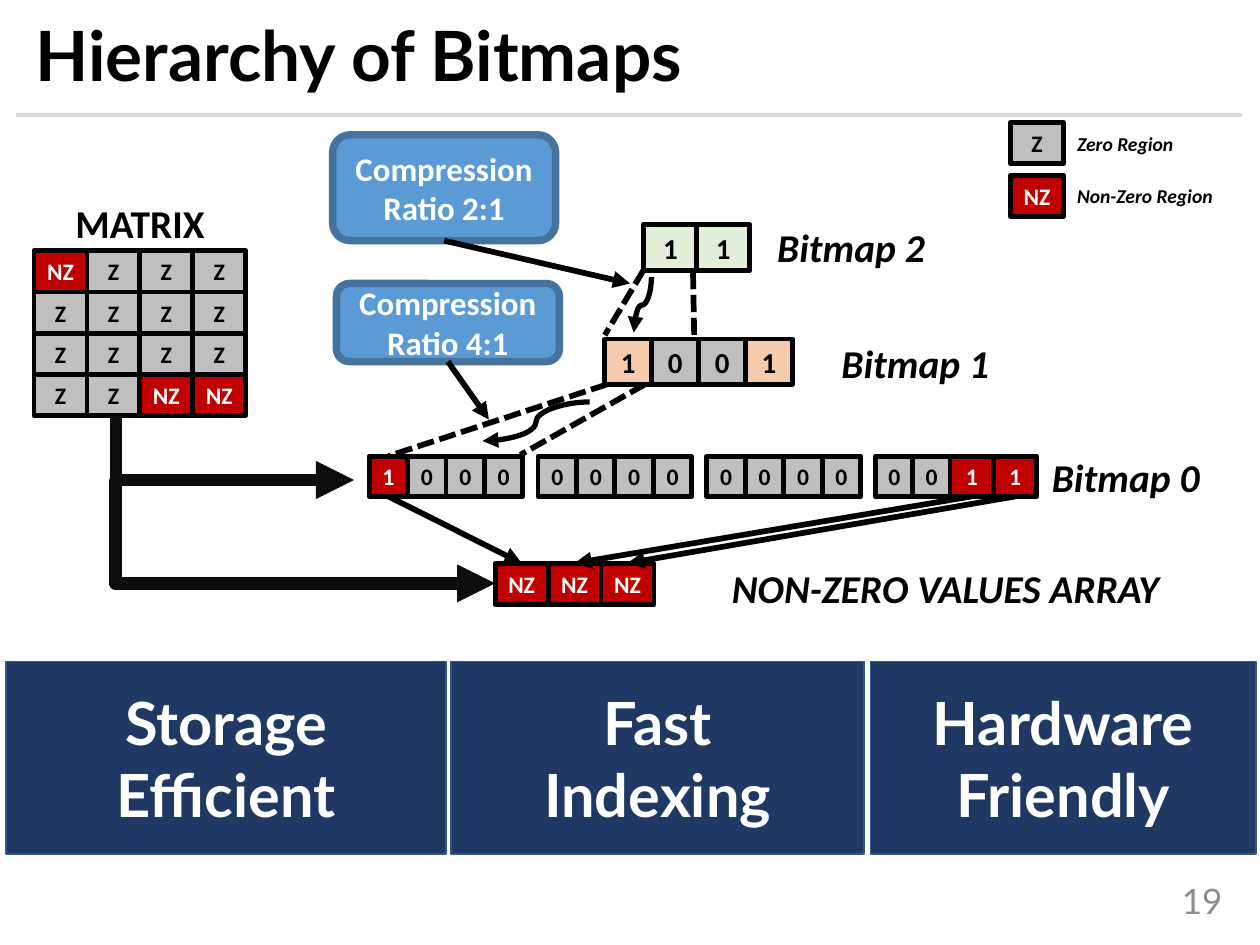
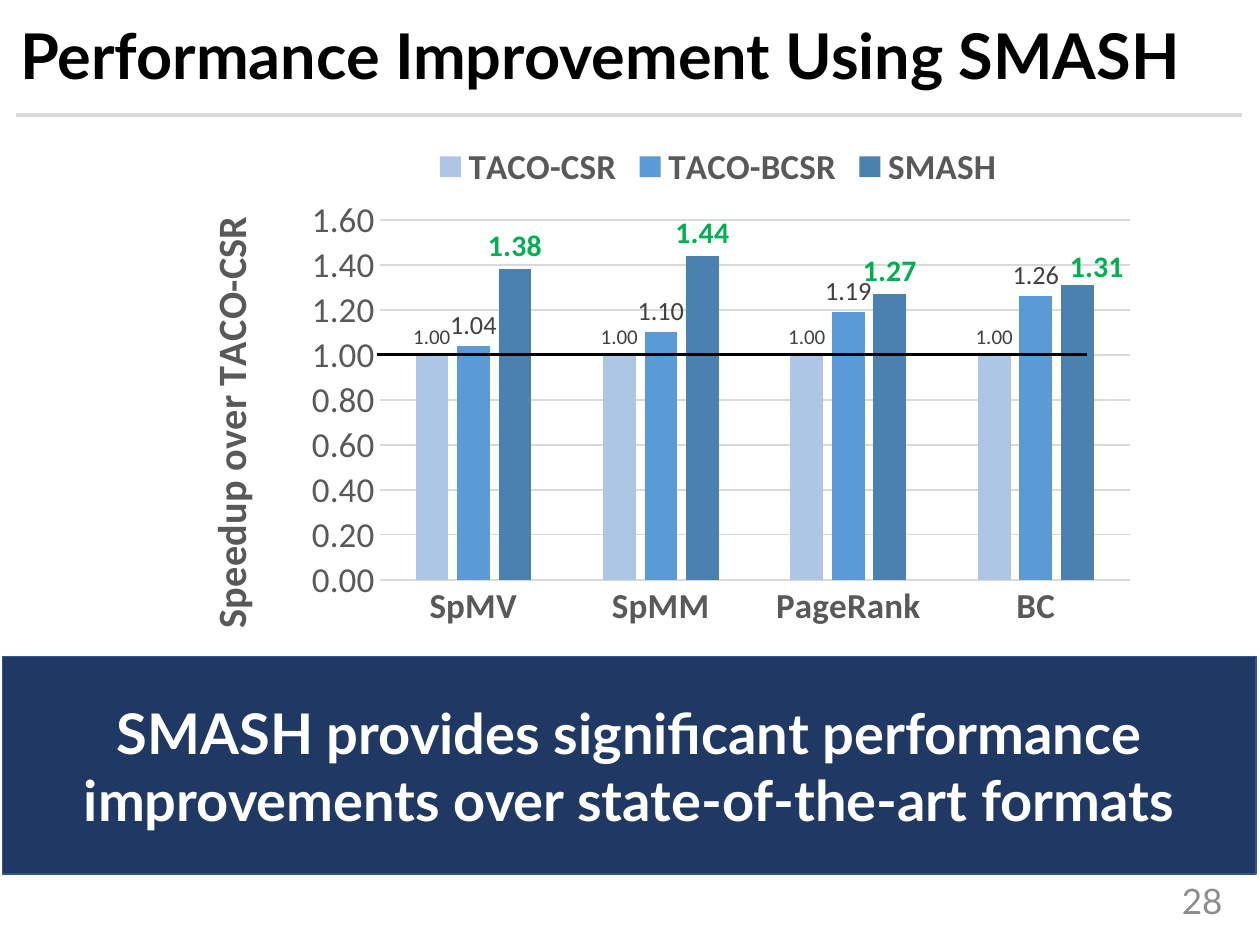
from dataclasses import dataclass
from typing import NamedTuple

from lxml.etree import SubElement
from pptx import Presentation
from pptx.chart.data import CategoryChartData
from pptx.dml.color import RGBColor
from pptx.enum.chart import XL_CHART_TYPE, XL_LABEL_POSITION, XL_LEGEND_POSITION, XL_TICK_MARK
from pptx.enum.dml import MSO_LINE
from pptx.enum.shapes import MSO_CONNECTOR, MSO_SHAPE
from pptx.enum.text import MSO_ANCHOR, MSO_AUTO_SIZE, PP_ALIGN
from pptx.oxml import parse_xml
from pptx.oxml.ns import nsdecls, qn
from pptx.util import Inches, Pt


@dataclass(frozen=True)
class Theme:
    """Colours, fonts and type sizes of the deck."""
    black: str = "000000"
    white: str = "FFFFFF"
    coal: str = "0D0D0D"
    red: str = "C00000"
    zero: str = "BFBFBF"
    peach: str = "F8CBAD"
    mint: str = "E2F0D9"
    blue: str = "5B9BD5"
    pale: str = "ADC6E5"
    steel: str = "4B81B1"
    edge: str = "43739E"
    navy: str = "203864"
    rim: str = "325491"
    rule: str = "D9D9D9"
    page: str = "8C8C8C"
    axis: str = "595959"
    value: str = "404040"
    green: str = "00B050"
    head: str = "Lato"
    body: str = "Calibri"
    label: float = 22.5
    cell: float = 13.5
    bit: float = 16.5
    note: float = 18.8
    key: float = 11.2
    number: float = 20
    tick: float = 20
    stroke: float = 3.25


T = Theme()


class Box(NamedTuple):
    """A region in inches."""
    x: float
    y: float
    w: float
    h: float

    def sub(self, dx, dy, w, h):
        """Return a region placed relative to this one."""
        return Box(self.x + dx, self.y + dy, w, h)

    def emu(self):
        """Return the four lengths of the region."""
        return [Inches(v) for v in self]


def style(font, size, color=T.black, bold=True, italic=False, face=T.body):
    """Set the look of a font."""
    font.name, font.size, font.bold, font.italic = face, Pt(size), bold, italic
    font.color.rgb = RGBColor.from_string(color)


def write(frame, text, size, align=PP_ALIGN.LEFT, **look):
    """Fill a text frame, one paragraph a line."""
    frame.text = text
    for para in frame.paragraphs:
        para.alignment = align
        style(para.font, size, **look)


def block(slide, box, text, size, fill, line, width, kind=MSO_SHAPE.RECTANGLE, inset=0.1, **look):
    """Draw a filled shape with centred text."""
    shape = slide.shapes.add_shape(kind, *box.emu())
    shape.shadow.inherit = False
    shape.fill.solid()
    shape.fill.fore_color.rgb = RGBColor.from_string(fill)
    shape.line.color.rgb = RGBColor.from_string(line)
    shape.line.width = Pt(width)
    frame = shape.text_frame
    frame.word_wrap = True
    frame.vertical_anchor = MSO_ANCHOR.MIDDLE
    frame.margin_left = frame.margin_right = Inches(inset)
    write(frame, text, size, PP_ALIGN.CENTER, **look)
    return shape


def tag(slide, box, text, size=T.label, italic=True):
    """Write a one-line label."""
    frame = slide.shapes.add_textbox(*box.emu()).text_frame
    frame.word_wrap = False
    frame.auto_size = MSO_AUTO_SIZE.SHAPE_TO_FIT_TEXT
    write(frame, text, size, italic=italic)


def grid(slide, box, rows, size=T.cell, hot=T.red):
    """Draw rows of equal cells and return them in reading order."""
    cells = []
    tall = box.h / len(rows)
    for i, row in enumerate(rows):
        wide = box.w / len(row)
        for j, text in enumerate(row):
            fill = T.zero if text in ("Z", "0") else hot
            color = T.white if fill == T.red else T.black
            spot = box.sub(j * wide, i * tall, wide, tall)
            cells.append(block(slide, spot, text, size, fill, T.black, 2.75, inset=0, color=color))
    return cells


def link(slide, box, start, end, kind=MSO_CONNECTOR.STRAIGHT, color=T.black,
         width=T.stroke, arrow=True, dash=False, turn=0):
    """Draw a line between points of the box, or from a shape's foot to a shape's top."""
    ends = [p if isinstance(p, tuple) else (0, 0) for p in (start, end)]
    spots = [Inches(v) for x, y in ends for v in (box.x + x, box.y + y)]
    line = slide.shapes.add_connector(kind, *spots)
    if not isinstance(start, tuple):
        line.begin_connect(start, 2)
    if not isinstance(end, tuple):
        line.end_connect(end, 0)
    line.line.color.rgb = RGBColor.from_string(color)
    line.line.width = Pt(width)
    if dash:
        line.line.dash_style = MSO_LINE.SQUARE_DOT
    props = line._element.spPr
    if arrow:
        SubElement(props.find(qn("a:ln")), qn("a:tailEnd")).set("type", "triangle")
    if turn:
        props.find(qn("a:xfrm")).set("rot", str(turn * 60000))
    SubElement(props, qn("a:effectLst"))
    return line


def start(deck, title, box, size, number):
    """Add a slide with its title, rule and page number."""
    slide = deck.slides.add_slide(deck.slide_layouts[5])
    head = slide.shapes.title
    head.left, head.top, head.width, head.height = box.emu()
    frame = head.text_frame
    write(frame, title, size, face=T.head)
    frame.auto_size = MSO_AUTO_SIZE.NONE
    frame.word_wrap = True
    frame.vertical_anchor = MSO_ANCHOR.MIDDLE
    frame.paragraphs[0].line_spacing = 0.9
    link(slide, Box(0.13, 0.91, 9.73, 0), (0, 0), (9.73, 0), color=T.rule, width=2.25, arrow=False)
    foot = slide.shapes.add_textbox(*Box(8.72, 6.95, 1.08, 0.4).emu()).text_frame
    foot.word_wrap = True
    foot.vertical_anchor = MSO_ANCHOR.MIDDLE
    write(foot, number, T.number, PP_ALIGN.RIGHT, color=T.page, bold=False, face=T.head)
    return slide


def banner(slide, box, text, size):
    """Draw a navy takeaway band."""
    block(slide, box, text, size, T.navy, T.rim, 1, color=T.white, face=T.head)


def matrix(slide, box):
    """Draw the matrix under its heading."""
    tag(slide, box.sub(0.23, 0, 1.23, 0.48), "MATRIX", italic=False)
    rows = [["NZ", "Z", "Z", "Z"], ["Z"] * 4, ["Z"] * 4, ["Z", "Z", "NZ", "NZ"]]
    grid(slide, box.sub(0, 0.46, box.w, box.h - 0.46), rows)


def legend(slide, box):
    """Explain the two cell colours."""
    for i, (mark, text) in enumerate([("Z", "Zero Region"), ("NZ", "Non-Zero Region")]):
        grid(slide, box.sub(0, i * 0.42, 0.42, 0.33), [[mark]])
        tag(slide, box.sub(0.43, 0.03 + i * 0.41, 1.3, 0.29), text, T.key)


def feed(slide, box):
    """Draw the thick arrows that leave the matrix."""
    bend = dict(kind=MSO_CONNECTOR.ELBOW, color=T.coal, width=7.25)
    upper = link(slide, box, (1.2, -0.69), (0.69, 1.2), turn=270, **bend)
    upper._element.spPr.find(qn("a:prstGeom")).set("prst", "bentConnector2")
    lower = link(slide, box, (0.01, 0.52), (box.w, box.h), **bend)
    guides = lower._element.spPr.find(qn("a:prstGeom")).get_or_add_avLst()
    guide = SubElement(guides, qn("a:gd"))
    guide.set("name", "adj1")
    guide.set("fmla", "val -500")


def levels(slide, box):
    """Draw the bitmap levels, their ratios and the values array."""
    base = []
    for i, bits in enumerate(["1000", "0000", "0000"]):
        base += grid(slide, box.sub(0.33 + i * 1.34, 2.62, 1.22, 0.32), [bits])
    base += grid(slide, box.sub(4.35, 2.62, 0.59, 0.32), ["00"])
    base += grid(slide, box.sub(4.94, 2.62, 0.69, 0.32), ["11"])
    grid(slide, box.sub(2.2, 1.69, 1.49, 0.36), ["1001"], T.bit, T.peach)
    grid(slide, box.sub(2.51, 0.78, 0.84, 0.37), ["11"], T.bit, T.mint)
    store = grid(slide, box.sub(1.33, 3.47, 1.26, 0.33), [["NZ"] * 3])

    for x, y, text in [(5.65, 2.55, "Bitmap 0"), (3.98, 1.64, "Bitmap 1"), (3.47, 0.72, "Bitmap 2")]:
        tag(slide, box.sub(x, y, 1.38, 0.48), text)
    tag(slide, box.sub(3.11, 3.43, 3.62, 0.48), "NON-ZERO VALUES ARRAY")

    for x, y, tall, ratio, tip in [(0.07, 1.25, 0.62, "4:1", (1.28, 2.33)),
                                   (0.04, 0.07, 0.84, "2:1", (2.4, 1.25))]:
        note = block(slide, box.sub(x, y, 1.77, tall), f"Compression Ratio {ratio}", T.note,
                     T.blue, T.edge, 4.25, MSO_SHAPE.ROUNDED_RECTANGLE, color=T.white)
        link(slide, box, note, tip)

    for source, target in zip([base[0], *base[-2:]], store):
        link(slide, box, source, target)
    for tip, foot in [((2.22, 2.05), base[0]), ((2.52, 2.05), (1.53, 2.61)),
                      ((2.51, 1.14), (2.2, 1.66)), ((2.9, 1.16), (2.91, 1.69))]:
        link(slide, box, tip, foot, arrow=False, dash=True)
    link(slide, box, (2.28, 1.35), (2.72, 1.49), MSO_CONNECTOR.CURVE, width=3, turn=90)
    link(slide, box, (2.08, 2.19), (1.23, 2.5), MSO_CONNECTOR.CURVE, width=3)


def place(node, index, inner=False, edge=True, **spot):
    """Give a chart part a manual layout."""
    for old in node.findall(qn("c:layout")):
        node.remove(old)
    layout = parse_xml(f"<c:layout {nsdecls('c')}><c:manualLayout/></c:layout>")
    values = {"layoutTarget": "inner"} if inner else {}
    if edge:
        values |= {"xMode": "edge", "yMode": "edge"}
    for name, value in (values | spot).items():
        SubElement(layout[0], qn(f"c:{name}")).set("val", str(value))
    node.insert(index, layout)


def speedup(slide, box):
    """Draw the speedup chart and its baseline."""
    series = [("TACO-CSR", (1, 1, 1, 1), T.pale, 12, T.value, False),
              ("TACO-BCSR", (1.04, 1.1, 1.19, 1.26), T.blue, 15, T.value, False),
              ("SMASH", (1.38, 1.44, 1.27, 1.31), T.steel, 17, T.green, True)]
    data = CategoryChartData(number_format="0.00")
    data.categories = ["SpMV", "SpMM", "PageRank", "BC"]
    for name, values, *_ in series:
        data.add_series(name, values)
    chart = slide.shapes.add_chart(XL_CHART_TYPE.COLUMN_CLUSTERED, *box.emu(), data).chart
    style(chart.font, 10, bold=False)
    chart.has_title = False
    chart.has_legend = True
    chart.legend.position = XL_LEGEND_POSITION.TOP
    chart.legend.include_in_layout = False
    style(chart.legend.font, T.tick, T.axis)
    place(chart.legend._element, 1, x=0.26, y=0.05)

    plot = chart.plots[0]
    plot.gap_width, plot.overlap, plot.vary_by_categories = 219, -27, False
    for bars, (_, _, fill, size, color, bold) in zip(plot.series, series):
        bars.format.fill.solid()
        bars.format.fill.fore_color.rgb = RGBColor.from_string(fill)
        labels = bars.data_labels
        labels.show_value = True
        labels.number_format, labels.number_format_is_linked = "0.00", False
        labels.position = XL_LABEL_POSITION.OUTSIDE_END
        style(labels.font, size, color, bold)
    last = plot.series[2].points[3].data_label
    style(last.font, 17, T.green)
    last.position = XL_LABEL_POSITION.OUTSIDE_END
    place(plot.series[2]._element.find(".//" + qn("c:dLbl")), 1, edge=False, x=0.02, y=0.01)

    cats, vals = chart.category_axis, chart.value_axis
    for axis, bold in [(cats, True), (vals, False)]:
        axis.major_tick_mark = axis.minor_tick_mark = XL_TICK_MARK.NONE
        style(axis.tick_labels.font, T.tick, T.axis, bold)
    vals.minimum_scale, vals.maximum_scale, vals.major_unit = 0, 1.6, 0.2
    vals.tick_labels.number_format = "0.00"
    vals.tick_labels.number_format_is_linked = False
    vals.format.line.fill.background()
    for line in (cats.format.line, vals.major_gridlines.format.line):
        line.color.rgb = RGBColor.from_string(T.rule)
        line.width = Pt(0.75)
    write(vals.axis_title.text_frame, "Speedup over TACO-CSR", 23, PP_ALIGN.CENTER, color=T.axis)
    place(vals.axis_title._element, 1, x=0.02, y=0.18)
    place(chart._chartSpace.chart.plotArea, 0, inner=True, x=0.21, y=0.2, w=0.77, h=0.66)
    link(slide, box, (1.6, 1.93), (7.24, 1.93), width=1.75, arrow=False)


def bitmaps(deck):
    """Build the slide on the bitmap hierarchy."""
    slide = start(deck, "Hierarchy of Bitmaps", Box(0.18, 0.14, 9.73, 0.66), 39.6, "19")
    matrix(slide, Box(0.27, 1.53, 1.68, 1.77))
    feed(slide, Box(0.92, 3.3, 3.01, 1.33))
    levels(slide, Box(2.6, 1, 7.2, 4))
    legend(slide, Box(8.02, 0.97, 1.73, 0.75))
    for x, wide, text in [(0.05, 3.49, "Storage\nEfficient"), (3.58, 3.28, "Fast\nIndexing"),
                          (6.91, 3.06, "Hardware\nFriendly")]:
        banner(slide, Box(x, 5.25, wide, 1.53), text, 34)


def results(deck):
    """Build the slide on performance."""
    slide = start(deck, "Performance Improvement Using SMASH", Box(0.06, 0.14, 10.02, 0.66), 36, "28")
    banner(slide, Box(0.02, 5.21, 9.95, 1.73),
           "SMASH provides significant performance improvements over state-of-the-art formats", 32)
    speedup(slide, Box(1.39, 0.88, 7.73, 4.33))


def main():
    """Build and save the deck."""
    deck = Presentation()
    deck.slide_width, deck.slide_height = Inches(10), Inches(7.5)
    bitmaps(deck)
    results(deck)
    deck.save("out.pptx")


if __name__ == "__main__":
    main()
